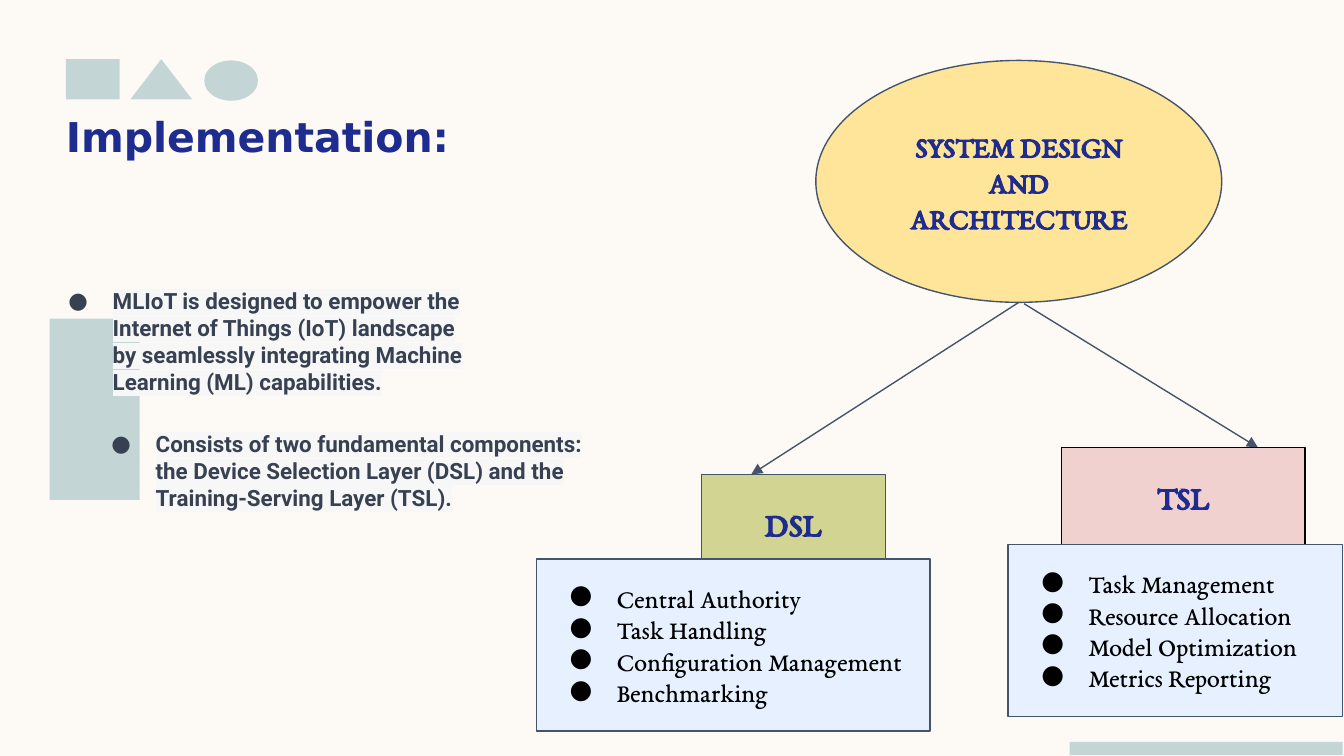
from dataclasses import dataclass

from lxml import etree
from pptx import Presentation
from pptx import util as u
from pptx.dml.color import RGBColor
from pptx.enum import shapes, text
from pptx.oxml import ns

NAVY, SLATE, INK = "1F2C8F", "44546A", "374151"
SAGE, BLACK, PALE_BLUE = "C4D5D5", "000000", "E6F0FE"
SERIF = "EB Garamond"


@dataclass
class Box:
    left: float
    top: float
    width: float
    height: float

    def lengths(self) -> list:
        return [u.Inches(value) for value in (self.left, self.top, self.width, self.height)]


@dataclass
class Style:
    name: str
    size: int
    color: str
    bold: bool = True
    align: text.PP_ALIGN = text.PP_ALIGN.LEFT
    hanging: float = 0
    highlight: str = ""


@dataclass
class Block:
    kind: shapes.MSO_SHAPE
    box: Box
    fill: str
    line: str = ""
    lines: tuple = ()
    style: Style | None = None


@dataclass
class Arrow:
    start: tuple[float, float]
    end: tuple[float, float]


def rgb(color: str) -> RGBColor:
    return RGBColor.from_string(color)


def set_values(target, values: dict) -> None:
    for name, value in values.items():
        setattr(target, name, value)


def add_element(parent, tag: str, **attributes: str):
    return etree.SubElement(parent, ns.qn(tag), **attributes)


def add_bullet(paragraph, style: Style) -> None:
    properties = paragraph._p.get_or_add_pPr()
    properties.set("marL", str(u.Inches(0.5)))
    properties.set("indent", str(u.Inches(-style.hanging)))
    bullet_color = add_element(properties, "a:buClr")
    add_element(bullet_color, "a:srgbClr", val=style.color)
    add_element(properties, "a:buFont", typeface=style.name)
    add_element(properties, "a:buChar", char="●")


def add_highlight(run, color: str) -> None:
    highlight = etree.Element(ns.qn("a:highlight"))
    add_element(highlight, "a:srgbClr", val=color)
    run.font._element.find(ns.qn("a:solidFill")).addnext(highlight)


def write_text(shape, lines: tuple, style: Style, anchor: text.MSO_ANCHOR, margin: float = 0.1) -> None:
    frame = shape.text_frame
    set_values(frame, {
        "word_wrap": True,
        "auto_size": text.MSO_AUTO_SIZE.NONE,
        "vertical_anchor": anchor,
        "margin_left": u.Inches(margin),
        "margin_top": u.Inches(margin),
        "margin_right": u.Inches(margin),
        "margin_bottom": u.Inches(margin),
    })
    for index, line in enumerate(lines):
        paragraph = frame.add_paragraph() if index else frame.paragraphs[0]
        paragraph.alignment = style.align
        if style.hanging:
            add_bullet(paragraph, style)
        run = paragraph.add_run()
        run.text = line
        set_values(run.font, {"name": style.name, "size": u.Pt(style.size), "bold": style.bold})
        run.font.color.rgb = rgb(style.color)
        if style.highlight:
            add_highlight(run, style.highlight)


def draw_block(slide, block: Block) -> None:
    shape = slide.shapes.add_shape(block.kind, *block.box.lengths())
    shape.shadow.inherit = False
    shape.fill.solid()
    shape.fill.fore_color.rgb = rgb(block.fill)
    if block.line:
        shape.line.color.rgb = rgb(block.line)
        shape.line.width = u.Pt(0.75)
    else:
        shape.line.fill.background()
    if block.style:
        write_text(shape, block.lines, block.style, text.MSO_ANCHOR.MIDDLE)


def draw_text(slide, box: Box, line: str, style: Style, margin: float = 0.1) -> None:
    shape = slide.shapes.add_textbox(*box.lengths())
    write_text(shape, (line,), style, text.MSO_ANCHOR.TOP, margin)


def draw_arrow(slide, arrow: Arrow) -> None:
    points = [u.Inches(value) for value in (*arrow.start, *arrow.end)]
    connector = slide.shapes.add_connector(shapes.MSO_CONNECTOR.STRAIGHT, *points)
    connector.line.color.rgb = rgb(SLATE)
    connector.line.width = u.Pt(0.75)
    add_element(connector.line._get_or_add_ln(), "a:tailEnd", type="triangle")
    add_element(connector._element.spPr, "a:effectLst")


TITLE = Style("DejaVu Sans", 22, NAVY)
POINT = Style("Roboto", 12, INK, hanging=0.33, highlight="F7F7F8")
ROOT = Style(SERIF, 16, NAVY, align=text.PP_ALIGN.CENTER)
LAYER = Style(SERIF, 18, NAVY, align=text.PP_ALIGN.CENTER)
DUTY = Style(SERIF, 14, BLACK, bold=False, hanging=0.35)

RECTANGLE = shapes.MSO_SHAPE.RECTANGLE
OVAL = shapes.MSO_SHAPE.OVAL

DECORATIONS = [
    Block(RECTANGLE, Box(0.49, 0.44, 0.4, 0.3), SAGE),
    Block(shapes.MSO_SHAPE.ISOSCELES_TRIANGLE, Box(0.97, 0.44, 0.46, 0.3), SAGE),
    Block(OVAL, Box(1.52, 0.45, 0.4, 0.3), SAGE),
    Block(RECTANGLE, Box(7.96, 5.52, 2.03, 0.1), SAGE),
    Block(RECTANGLE, Box(0.37, 2.37, 0.67, 1.35), SAGE),
]
POINTS = [
    (Box(0.24, 2.04, 3.41, 1.06),
     "MLIoT is designed to empower the Internet of Things (IoT) landscape "
     "by seamlessly integrating Machine Learning (ML) capabilities."),
    (Box(0.56, 3.1, 3.96, 1.06),
     "Consists of two fundamental components: the Device Selection Layer (DSL) "
     "and the Training-Serving Layer (TSL)."),
]
ARROWS = [Arrow((7.58, 2.25), (5.59, 3.53)), Arrow((7.62, 2.26), (9.36, 3.33))]
DIAGRAM = [
    Block(RECTANGLE, Box(5.22, 3.53, 1.37, 0.72), "D2D592", SLATE, ("DSL",), LAYER),
    Block(RECTANGLE, Box(7.9, 3.33, 1.81, 0.72), "F1D0D0", BLACK, ("TSL",), LAYER),
    Block(RECTANGLE, Box(3.99, 4.16, 2.93, 1.28), PALE_BLUE, SLATE,
          ("Central Authority", "Task Handling", "Configuration Management", "Benchmarking"), DUTY),
    Block(RECTANGLE, Box(7.5, 4.05, 2.49, 1.28), PALE_BLUE, SLATE,
          ("Task Management", "Resource Allocation", "Model Optimization", "Metrics Reporting"), DUTY),
]
SYSTEM = Block(OVAL, Box(6.07, 0.45, 3.02, 1.8), "FFE599", SLATE,
               ("SYSTEM DESIGN AND ARCHITECTURE",), ROOT)


def main() -> None:
    presentation = Presentation()
    width = u.Inches(10)
    set_values(presentation, {"slide_width": width, "slide_height": width * 9 // 16})
    slide = presentation.slides.add_slide(presentation.slide_layouts[6])
    slide.background.fill.solid()
    slide.background.fill.fore_color.rgb = rgb("FDFAF6")

    draw_text(slide, Box(0.48, 0.82, 3.12, 0.39), "Implementation:", TITLE, margin=0.01)
    for block in DECORATIONS:
        draw_block(slide, block)
    for box, line in POINTS:
        draw_text(slide, box, line, POINT)
    draw_block(slide, SYSTEM)
    for arrow in ARROWS:
        draw_arrow(slide, arrow)
    for block in DIAGRAM:
        draw_block(slide, block)
    presentation.save("out.pptx")


if __name__ == "__main__":
    main()
